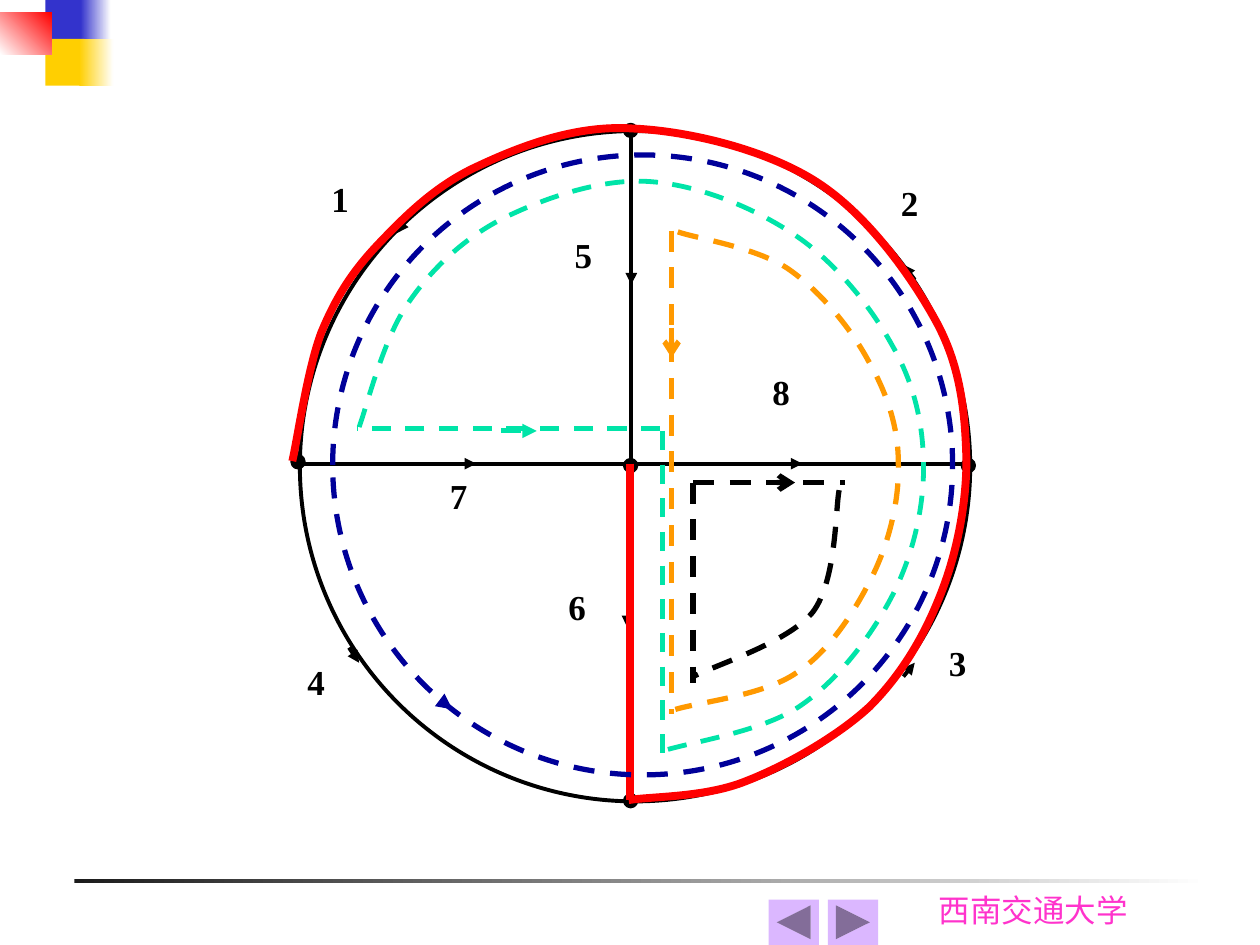
from typing import NamedTuple, Optional

from lxml.etree import SubElement
from pptx import Presentation
from pptx.dml.color import RGBColor
from pptx.enum.dml import MSO_LINE
from pptx.enum.shapes import MSO_CONNECTOR, MSO_SHAPE
from pptx.enum.text import MSO_ANCHOR, PP_ALIGN
from pptx.oxml.ns import qn
from pptx.util import Emu, Pt

PX = 9144  # EMU per px, 100 px to the inch


class Theme:
    black, white, ink = "000000", "FFFFFF", "1C1C1C"
    blue, yellow, red = "3333CC", "FFCF01", "FF0000"
    navy, teal, orange = "000099", "00E4A8", "FF9900"
    magenta, lilac = "FF33CC", "DBB7FF"
    label_font, footer_font = "Times New Roman", "Karla"
    label_size, footer_size = 20, 18


class Box(NamedTuple):
    x: int
    y: int
    w: int
    h: int


class Pen(NamedTuple):
    color: str
    width: float
    dashed: bool = False


class Line(NamedTuple):
    x1: int
    y1: int
    x2: int
    y2: int
    head: Optional[str] = None


class Band(NamedTuple):
    box: Box
    start: str
    end: Optional[str] = None
    angle: int = 0


class Loop(NamedTuple):
    pen: Pen
    lines: list[Line]
    curve: list[tuple[int, int]]  # start, then two controls and an end per arc
    arrow: Optional[Line] = None


def emu(box: Box) -> list[Emu]:
    return [Emu(v * PX) for v in box]


def apply_pen(line, pen: Pen) -> None:
    line.color.rgb = RGBColor.from_string(pen.color)
    line.width = Pt(pen.width)
    if pen.dashed:
        line.dash_style = MSO_LINE.DASH


def draw_shape(slide, kind, box: Box, fill: Optional[str] = None, pen: Optional[Pen] = None):
    shape = slide.shapes.add_shape(kind, *emu(box))
    shape.shadow.inherit = False
    if fill:
        shape.fill.solid()
        shape.fill.fore_color.rgb = RGBColor.from_string(fill)
    else:
        shape.fill.background()
    if pen:
        apply_pen(shape.line, pen)
    else:
        shape.line.fill.background()
    return shape


def draw_band(slide, band: Band) -> None:
    shape = draw_shape(slide, MSO_SHAPE.RECTANGLE, band.box, band.start)
    if band.end:
        shape.fill.gradient()
        shape.fill.gradient_angle = band.angle
        for stop, color in zip(shape.fill.gradient_stops, (band.start, band.end)):
            stop.color.rgb = RGBColor.from_string(color)


def draw_line(slide, line: Line, pen: Pen) -> None:
    connector = slide.shapes.add_connector(MSO_CONNECTOR.STRAIGHT, *emu(line[:4]))
    apply_pen(connector.line, pen)
    properties = connector.element.spPr
    if line.head:
        SubElement(properties.find(qn("a:ln")), qn("a:tailEnd"), type=line.head)
    SubElement(properties, qn("a:effectLst"))


def draw_curve(slide, points: list[tuple[int, int]], pen: Pen) -> None:
    builder = slide.shapes.build_freeform(*points[0], scale=PX)
    builder.add_line_segments(points[1:], close=False)
    shape = builder.convert_to_shape()
    shape.shadow.inherit = False
    shape.fill.background()
    apply_pen(shape.line, pen)
    # Join each three straight segments into one Bezier arc
    segments = list(shape.element.iter(qn("a:lnTo")))
    for first in range(0, len(segments), 3):
        arc = SubElement(segments[first].getparent(), qn("a:cubicBezTo"))
        for segment in segments[first:first + 3]:
            arc.append(segment[0])
            segment.getparent().remove(segment)


def draw_text(slide, text: str, box: Box, *, font: str, size: int, color: str,
              bold: bool = False, align=PP_ALIGN.LEFT, inset: tuple[int, int] = (1, 1)) -> None:
    frame = slide.shapes.add_textbox(*emu(box)).text_frame
    frame.word_wrap = True
    frame.vertical_anchor = MSO_ANCHOR.TOP
    frame.margin_left = frame.margin_right = Emu(inset[0] * PX)
    frame.margin_top = frame.margin_bottom = Emu(inset[1] * PX)
    paragraph = frame.paragraphs[0]
    paragraph.alignment = align
    run = paragraph.add_run()
    run.text = text
    run.font.name, run.font.size, run.font.bold = font, Pt(size), bold
    run.font.color.rgb = RGBColor.from_string(color)


def draw_loop(slide, loop: Loop) -> None:
    for line in loop.lines:
        draw_line(slide, line, loop.pen)
    draw_curve(slide, loop.curve, loop.pen)
    if loop.arrow:
        draw_line(slide, loop.arrow, loop.pen)


BRANCH_PEN = Pen(Theme.black, 2.25)
NAVY_PEN = Pen(Theme.navy, 3, True)

BANDS = [
    Band(Box(59, 698, 900, 3), Theme.ink, Theme.white),
    Band(Box(36, 0, 32, 37), Theme.blue),
    Band(Box(64, 0, 24, 37), Theme.blue, Theme.white),
    Band(Box(36, 31, 31, 37), Theme.yellow),
    Band(Box(63, 31, 27, 37), Theme.yellow, Theme.white),
    Band(Box(0, 10, 41, 33), Theme.white, Theme.red, 45),
]
SPOKES = [Line(501, 104, 501, 639), Line(235, 368, 769, 368)]
NODES = [(496, 99), (764, 365), (496, 365), (232, 362), (496, 631)]
BRANCH_ARROWS = [
    (726, 222, 717, 210), (329, 166, 315, 185), (277, 514, 285, 526), (717, 537, 726, 526),
    (501, 218, 501, 226), (498, 476, 498, 498), (360, 368, 378, 368), (614, 368, 637, 368),
]
LABELS = {
    "1": (235, 140), "2": (687, 143), "3": (725, 508), "4": (216, 523),
    "6": (423, 464), "5": (428, 184), "7": (329, 376), "8": (585, 293),
}
TREE = Loop(
    Pen(Theme.red, 4.5), [],
    [(232, 366), (236, 349), (244, 293), (255, 264), (267, 235), (280, 215), (301, 193),
     (322, 171), (346, 147), (379, 132), (413, 116), (457, 99), (502, 102),
     (547, 104), (609, 119), (649, 145), (689, 171), (724, 220), (744, 257),
     (763, 293), (766, 329), (767, 365), (767, 401), (759, 441), (746, 473),
     (733, 506), (715, 536), (690, 561), (664, 585), (623, 608), (592, 620),
     (560, 633), (518, 632), (499, 635)],
    Line(500, 368, 500, 635))
INNER_LOOPS = [
    Loop(Pen(Theme.teal, 2.75, True),
         [Line(526, 342, 526, 600), Line(524, 340, 283, 340)],
         [(285, 339), (291, 323), (304, 270), (323, 242), (341, 215), (367, 190), (398, 174),
          (430, 158), (475, 142), (513, 144), (552, 146), (597, 164), (630, 186),
          (662, 207), (691, 243), (708, 274), (726, 305), (733, 338), (733, 371),
          (733, 405), (724, 443), (707, 475), (690, 507), (664, 541), (634, 561),
          (604, 581), (548, 589), (526, 596)],
         Line(398, 342, 426, 342, "triangle")),
    Loop(Pen(Theme.orange, 3, True),
         [Line(533, 183, 533, 567)],
         [(538, 184), (552, 189), (599, 196), (625, 213), (650, 230), (675, 260), (689, 286),
          (704, 312), (713, 339), (713, 367), (714, 396), (706, 430), (692, 458),
          (678, 486), (658, 517), (632, 534), (606, 552), (556, 557), (536, 563)],
         Line(533, 260, 533, 284, "arrow")),
    Loop(Pen(Theme.black, 3, True),
         [Line(550, 383, 671, 383), Line(550, 383, 550, 542)],
         [(666, 389), (663, 405), (664, 461), (645, 486), (625, 510), (570, 527), (550, 537)],
         Line(608, 383, 631, 383, "arrow")),
]
BUTTONS = [(610, MSO_SHAPE.ACTION_BUTTON_BACK_OR_PREVIOUS),
           (657, MSO_SHAPE.ACTION_BUTTON_FORWARD_OR_NEXT)]


def main() -> None:
    deck = Presentation()
    deck.slide_width, deck.slide_height = Emu(1000 * PX), Emu(750 * PX)
    slide = deck.slides.add_slide(deck.slide_layouts[6])

    # Page decoration and footer
    for band in BANDS:
        draw_band(slide, band)
    draw_text(slide, "西南交通大学", Box(735, 702, 181, 40), font=Theme.footer_font,
              size=Theme.footer_size, color=Theme.magenta, inset=(10, 5))

    # Network graph: rim, spokes, nodes, directions and branch numbers
    draw_shape(slide, MSO_SHAPE.OVAL, Box(238, 104, 532, 532), pen=BRANCH_PEN)
    for spoke in SPOKES:
        draw_line(slide, spoke, BRANCH_PEN)
    for x, y in NODES:
        draw_shape(slide, MSO_SHAPE.OVAL, Box(x, y, 9, 9), Theme.black, BRANCH_PEN)
    for ends in BRANCH_ARROWS:
        draw_line(slide, Line(*ends, "triangle"), BRANCH_PEN)
    for number, (x, y) in LABELS.items():
        draw_text(slide, number, Box(x, y, 70, 67), font=Theme.label_font,
                  size=Theme.label_size, color=Theme.black, bold=True, align=PP_ALIGN.CENTER)

    # Tree, then the loops from the outside in
    draw_loop(slide, TREE)
    draw_line(slide, Line(351, 557, 359, 563, "triangle"), NAVY_PEN)
    draw_shape(slide, MSO_SHAPE.OVAL, Box(264, 123, 492, 492), pen=NAVY_PEN)
    for loop in INNER_LOOPS:
        draw_loop(slide, loop)

    # Navigation buttons
    for x, kind in BUTTONS:
        draw_shape(slide, kind, Box(x, 714, 40, 36), Theme.lilac)

    deck.save("out.pptx")


if __name__ == "__main__":
    main()
